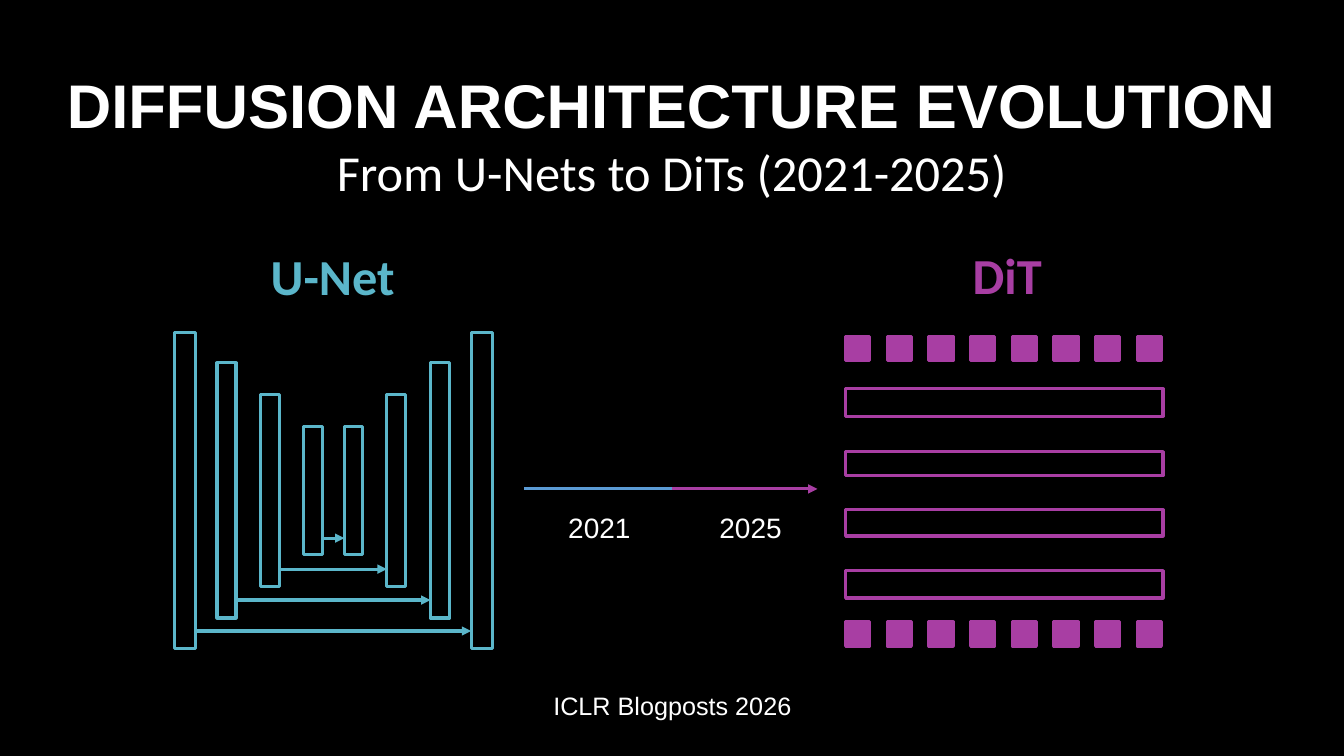
from lxml import etree
from pptx import Presentation
from pptx.dml.color import RGBColor
from pptx.enum.shapes import MSO_CONNECTOR as Link, MSO_SHAPE as Kind
from pptx.enum.text import MSO_ANCHOR as Anchor, MSO_AUTO_SIZE as Fit, PP_ALIGN as Align
from pptx.oxml.ns import qn
from pptx.util import Cm, Pt

HUES = {"black": "000000", "white": "FFFFFF", "teal": "5BB6CA",
        "plum": "A83EA3", "blue": "5B9BD5"}
HUES = {name: RGBColor.from_string(code) for name, code in HUES.items()}

deck = Presentation()
deck.slide_width, deck.slide_height = Cm(33.87), Cm(19.05)
slide = deck.slides.add_slide(deck.slide_layouts[5])
slide.background.fill.solid()
slide.background.fill.fore_color.rgb = HUES["black"]


def block(x, y, wide, high, hue, solid=False):
    rect = slide.shapes.add_shape(Kind.RECTANGLE, Cm(x), Cm(y), Cm(wide), Cm(high))
    rect.shadow.inherit = False
    rect.line.color.rgb = HUES[hue]
    rect.line.width = Pt(2.25)
    if solid:
        rect.fill.solid()
        rect.fill.fore_color.rgb = HUES[hue]
    else:
        rect.fill.background()


def rule(start, end, y, hue, head=True):
    link = slide.shapes.add_connector(Link.STRAIGHT, Cm(start), Cm(y), Cm(end), Cm(y))
    link.line.color.rgb = HUES[hue]
    link.line.width = Pt(2.25)
    if head:
        etree.SubElement(link.line._get_or_add_ln(), qn("a:tailEnd"), type="triangle")
    etree.SubElement(link._element.spPr, qn("a:effectLst"))


title = slide.shapes.title
title.left, title.top, title.width, title.height = Cm(0), Cm(1.57), Cm(33.87), Cm(3.68)
frame = title.text_frame
frame.text = "DIFFUSION ARCHITECTURE EVOLUTION\nFrom U-Nets to DiTs (2021-2025)"
frame.word_wrap = True
frame.auto_size = Fit.NONE
frame.vertical_anchor = Anchor.TOP
looks = [("Arial", 44, True), ("Calibri", 36, False)]
for para, (face, size, bold) in zip(frame.paragraphs, looks):
    para.alignment = Align.CENTER
    para.font.name, para.font.size, para.font.bold = face, Pt(size), bold
    para.font.color.rgb = HUES["white"]

labels = [
    ("U-Net", -0.08, 6.05, 16.93, 1.8, "Calibri", 36, "teal", True, Align.CENTER),
    ("DiT", 16.92, 6.02, 16.93, 1.8, "Calibri", 36, "plum", True, Align.CENTER),
    ("2021", 14.07, 12.73, 2.16, 1.12, "Arial", 20, "white", False, Align.LEFT),
    ("2025", 17.88, 12.73, 2.16, 1.12, "Arial", 20, "white", False, Align.LEFT),
    ("ICLR Blogposts 2026", 12.93, 17.27, 8.03, 1.02, "Arial", 18, "white", False, Align.CENTER),
]
for text, x, y, wide, high, face, size, hue, bold, align in labels:
    box = slide.shapes.add_textbox(Cm(x), Cm(y), Cm(wide), Cm(high))
    box.text_frame.word_wrap = True
    para = box.text_frame.paragraphs[0]
    para.text = text
    para.alignment = align
    para.font.name, para.font.size, para.font.bold = face, Pt(size), bold
    para.font.color.rgb = HUES[hue]

mid, axis = 8.4, 12.36
stages = [(3.74, 0.53, 7.98), (2.69, 0.48, 6.43), (1.59, 0.48, 4.83), (0.51, 0.46, 3.23)]
for step, (reach, wide, high) in enumerate(stages):
    for side in (-1, 1):
        block(mid + side * reach - wide / 2, axis - high / 2, wide, high, "teal")
    inner = reach - wide / 2
    rule(mid - inner, mid + inner, 15.9 - 0.78 * step, "teal")

rule(13.21, 20.6, 12.32, "plum")
rule(13.21, 16.93, 12.32, "blue", head=False)

left = 21.31
for y, high in [(9.8, 0.69), (11.38, 0.61), (12.85, 0.66), (14.38, 0.69)]:
    block(left, y, 8, high, "plum")
for y in (8.48, 15.67):
    for col in range(8):
        block(left + 1.05 * col, y, 0.61, 0.61, "plum", solid=True)

deck.save("out.pptx")
